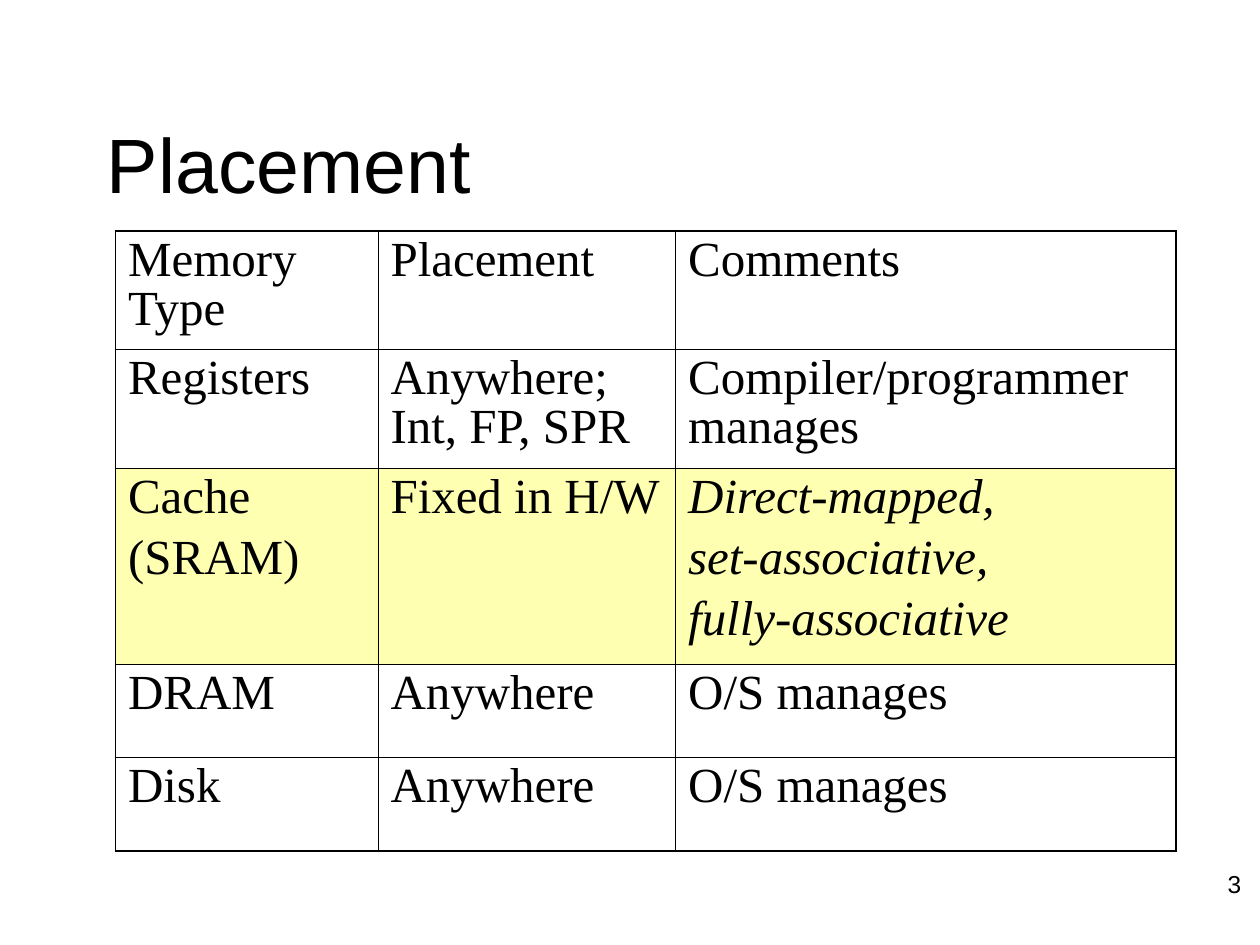
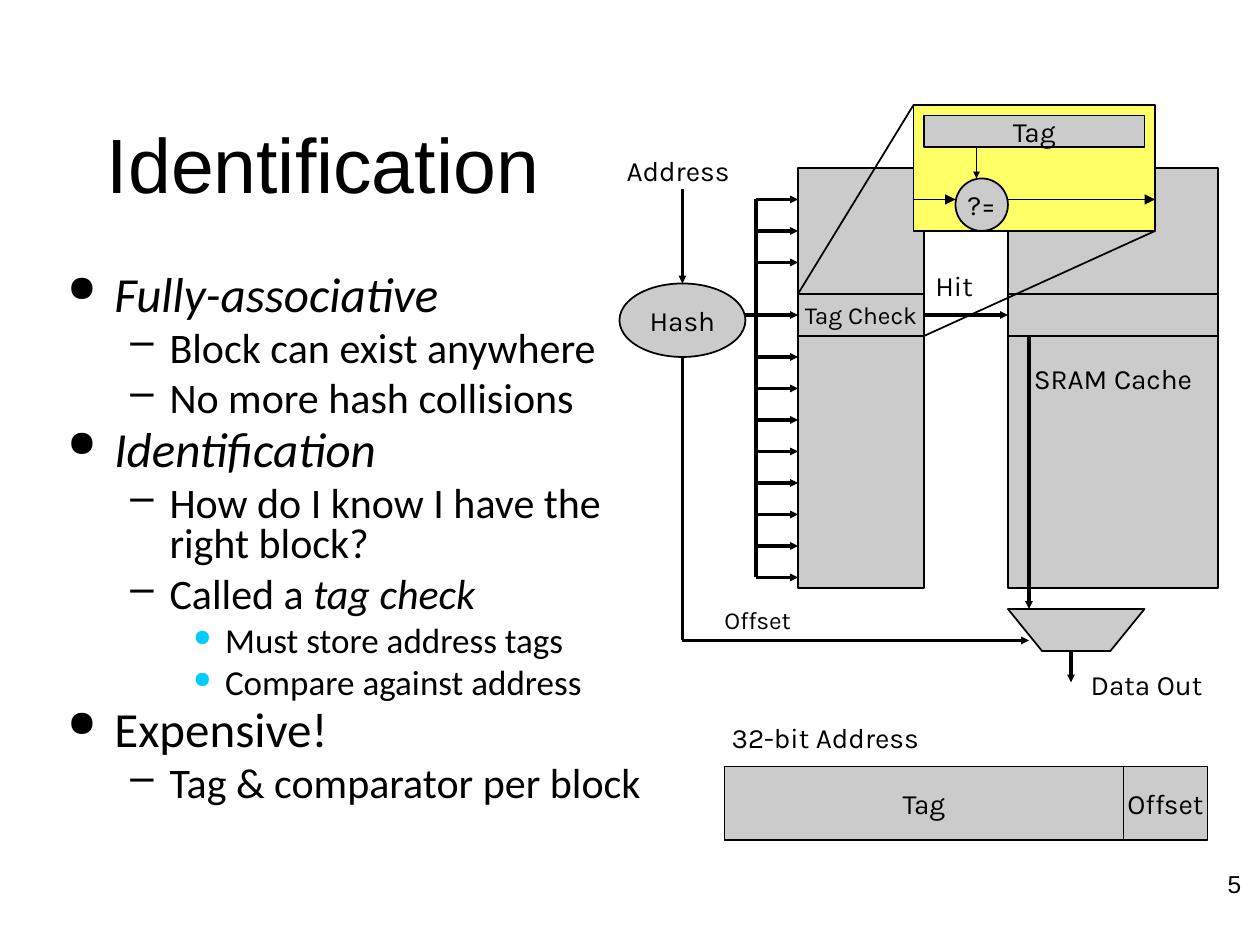
"""Build two lecture slides on cache placement and identification."""
from lxml import etree
from pptx import Presentation
from pptx import util as u
from pptx.dml.color import RGBColor
from pptx.enum import shapes, text
from pptx.oxml import ns

HUES = {"ink": "000000", "gray": "CBCBCB", "gold": "FFFF66", "sky": "00CCFF"}
BOX, OVAL = shapes.MSO_SHAPE.RECTANGLE, shapes.MSO_SHAPE.OVAL
LEFT, MID, RIGHT = text.PP_ALIGN.LEFT, text.PP_ALIGN.CENTER, text.PP_ALIGN.RIGHT
TOP, CORE, LOW = (text.MSO_ANCHOR.TOP, text.MSO_ANCHOR.MIDDLE,
                  text.MSO_ANCHOR.BOTTOM)

LEVELS = [
    dict(size=28, gap=7, ratio=0.7, edge=0.95, hang=0.95,
         mark="●", scale=75, hue="ink"),
    dict(size=24, gap=6, ratio=0.8, edge=2.06, hang=0.79,
         mark="–", scale=100, hue="ink"),
    dict(size=20, gap=5, ratio=0.8, edge=3.18, hang=0.64,
         mark="●", scale=65, hue="sky"),
]


def grid(*cells):
    """Turn twelfths of an inch into lengths."""
    return [u.Cm(n * 2.54 / 12) for n in cells]


def tint(name):
    """Return the named colour."""
    return RGBColor.from_string(HUES[name])


def sub(node, tag, **attrs):
    """Append a child element with attributes."""
    return etree.SubElement(node, ns.qn(tag),
                            {key: str(val) for key, val in attrs.items()})


class Deck:
    """Hold the style and the current slide."""

    def __init__(self):
        """Start an empty deck."""
        self.prs = Presentation()
        self.prs.slide_width, self.prs.slide_height = u.Cm(25.4), u.Cm(19.05)
        self.pool = None

    def page(self, title, number):
        """Add a slide with its title and number."""
        layout = self.prs.slide_layouts[6]
        self.pool = self.prs.slides.add_slide(layout).shapes
        self.label(title, 9, 8, 106, 15, size=44, face="Arial",
                   anchor=CORE, wrap=True)
        self.label(number, 94.4, 80.6, 25, 5, size=14, face="Arial",
                   align=RIGHT, anchor=LOW, wrap=True, pad=0)

    def font(self, para, size, face, slant=None):
        """Style a whole paragraph."""
        font = para.font
        font.size, font.name, font.italic = u.Pt(size), face, slant
        font.color.rgb = tint("ink")

    def words(self, frame, words, size, face, align, anchor, wrap, pad=0.13):
        """Put one styled paragraph in a frame."""
        frame.word_wrap, frame.vertical_anchor = wrap, anchor
        frame.margin_left = frame.margin_right = u.Cm(0.25)
        frame.margin_top = frame.margin_bottom = u.Cm(pad)
        para = frame.paragraphs[0]
        para.text, para.alignment = words, align
        self.font(para, size, face)

    def label(self, words, *place, size=16, face="Karla", align=LEFT,
              anchor=TOP, wrap=False, pad=0.13):
        """Add a text box."""
        frame = self.pool.add_textbox(*grid(*place)).text_frame
        self.words(frame, words, size, face, align, anchor, wrap, pad)

    def paint(self, shape, hue):
        """Give a shape its fill and outline."""
        shape.shadow.inherit = False
        shape.fill.solid()
        shape.fill.fore_color.rgb = tint(hue)
        shape.line.color.rgb = tint("ink")
        shape.line.width = u.Pt(1)

    def block(self, *place, words="", kind=BOX, hue="gray", size=16):
        """Add a preset shape with centred text."""
        shape = self.pool.add_shape(kind, *grid(*place))
        self.paint(shape, hue)
        if words:
            self.words(shape.text_frame, words, size, "Karla", MID, CORE, False)
        return shape

    def poly(self, points, hue="gray"):
        """Add a closed outline."""
        first, *rest = [grid(*point) for point in points]
        pen = self.pool.build_freeform(*first, scale=1.0)
        pen.add_line_segments(rest, close=True)
        self.paint(pen.convert_to_shape(), hue)

    def line(self, *ends, width=2.25, head="sm", start=None, stop=None):
        """Add a straight line, with an arrowhead if head is set."""
        link = self.pool.add_connector(shapes.MSO_CONNECTOR.STRAIGHT,
                                       *grid(*ends))
        if start:
            link.begin_connect(start, 3)
        if stop:
            link.end_connect(stop, 1)
        link.line.width = u.Pt(width)
        link.line.color.rgb = tint("ink")
        props = link.element.spPr
        if head:
            sub(props.find(ns.qn("a:ln")), "a:tailEnd",
                type="triangle", w=head, len=head)
        sub(props, "a:effectLst")

    def bullets(self, items, *place):
        """Add a bulleted list; starred words are italic."""
        frame = self.pool.add_textbox(*grid(*place)).text_frame
        frame.word_wrap = True
        frame.margin_left = frame.margin_right = u.Cm(0.51)
        for n, (depth, words) in enumerate(items):
            rank = LEVELS[depth]
            para = frame.add_paragraph() if n else frame.paragraphs[0]
            para.level, para.line_spacing = depth, rank["ratio"]
            para.space_before = u.Pt(rank["gap"] if n else 0)
            props = para._p.get_or_add_pPr()
            props.set("marL", str(u.Cm(rank["edge"])))
            props.set("indent", str(-u.Cm(rank["hang"])))
            sub(sub(props, "a:buClr"), "a:srgbClr", val=HUES[rank["hue"]])
            sub(props, "a:buSzPct", val=rank["scale"] * 1000)
            sub(props, "a:buChar", char=rank["mark"])
            parts = [(part, k % 2 == 1)
                     for k, part in enumerate(words.split("*")) if part]
            whole = all(slant for _, slant in parts)
            self.font(para, rank["size"], "Calibri", whole)
            for part, slant in parts:
                run = para.add_run()
                run.text = part
                if slant and not whole:
                    run.font.italic = True

    def frame(self, cell, edges):
        """Draw the four borders of a cell."""
        props = cell._tc.get_or_add_tcPr()
        for side, outer in zip("LRTB", edges):
            rule = sub(props, f"a:ln{side}", w=u.Pt(1.08 if outer else 0.45))
            sub(sub(rule, "a:solidFill"), "a:srgbClr", val=HUES["ink"])

    def table(self, rows, widths, heights, left, top, accent):
        """Add a ruled table with one tinted row."""
        place = grid(left, top, sum(widths), sum(heights))
        table = self.pool.add_table(len(rows), len(widths), *place).table
        table.first_row = table.horz_banding = False
        for col, width in zip(table.columns, grid(*widths)):
            col.width = width
        for row, height in zip(table.rows, grid(*heights)):
            row.height = height
        for r, row in enumerate(rows):
            for c, words in enumerate(row):
                cell = table.cell(r, c)
                self.frame(cell, (c == 0, c == len(widths) - 1,
                                  r == 0, r == len(rows) - 1))
                if r == accent:
                    cell.fill.solid()
                    cell.fill.fore_color.rgb = tint("gold")
                    shade = cell._tc.tcPr.find("./" + ns.qn("a:solidFill"))
                    sub(shade[0], "a:alpha", val=50000)
                else:
                    cell.fill.background()
                cell.text = words.strip("*")
                for n, para in enumerate(cell.text_frame.paragraphs):
                    para.line_spacing = 0.9
                    para.space_before = u.Pt(7 if n else 0)
                    self.font(para, 28, "Times New Roman",
                              words.startswith("*"))


def place(deck):
    """Build the placement slide."""
    deck.page("Placement", "3")
    rows = [
        ("Memory Type", "Placement", "Comments"),
        ("Registers", "Anywhere; Int, FP, SPR", "Compiler/programmer manages"),
        ("Cache\n(SRAM)", "Fixed in H/W",
         "*Direct-mapped,\nset-associative,\nfully-associative*"),
        ("DRAM", "Anywhere", "O/S manages"),
        ("Disk", "Anywhere", "O/S manages"),
    ]
    deck.table(rows, (25, 28.35, 47.65), (11.3, 11.3, 18.5, 8.9, 8.9),
               11, 22, accent=2)


def cache(deck):
    """Draw the hash, tag and data arrays."""
    deck.block(96, 16, 20, 40, words="SRAM Cache")
    entry = deck.block(96, 28, 20, 4)
    deck.block(59, 27, 12, 7, words="Hash", kind=OVAL)
    deck.block(76, 16, 12, 40)
    check = deck.block(76, 28, 12, 4, words="Tag Check", size=14)
    deck.poly([(96, 58), (99.25, 62), (105.75, 62), (109, 58)])
    deck.line(65, 18, 65, 27)
    deck.line(65, 34, 65, 61, head=None)
    deck.line(65, 61, 98, 61)
    deck.line(98, 32, 98, 58)
    deck.line(102, 62, 102, 65)
    deck.line(71, 30, 76, 30, stop=check)
    deck.line(88, 30, 96, 30, start=check, stop=entry)
    deck.line(72, 19, 72, 55, head=None)
    for y in (*range(19, 26, 3), *range(34, 56, 3)):
        deck.line(72, y, 76, y)
    deck.label("Address", 58.5, 14, 12.5, 4.4)
    deck.label("Hit", 87.9, 25, 6, 4.4)
    deck.label("Offset", 67.8, 57, 9.1, 4.1, size=14)
    deck.label("Data Out", 102.7, 63, 13.7, 4.4)


def zoom(deck):
    """Draw the enlarged tag comparison."""
    deck.block(87, 10, 23, 12, hue="gold")
    deck.block(91, 17, 5, 5, words="?=", kind=OVAL)
    deck.block(88, 11, 21, 3, words="Tag")
    for ends, head in [((87, 19, 91, 19), "med"), ((96, 19, 110, 19), "med"),
                       ((93, 14, 93, 17), "sm"), ((76, 28, 87, 10), None),
                       ((88, 32, 110, 22), None)]:
        deck.line(*ends, width=1, head=head)


def identify(deck):
    """Build the identification slide."""
    deck.page("Identification", "5")
    deck.bullets([
        (0, "*Fully-associative*"),
        (1, "Block can exist anywhere"),
        (1, "No more hash collisions"),
        (0, "*Identification*"),
        (1, "How do I know I have the right block?"),
        (1, "Called a *tag check*"),
        (2, "Must store address tags"),
        (2, "Compare against address"),
        (0, "Expensive!"),
        (1, "Tag & comparator per block"),
    ], 4, 26, 62, 56)
    cache(deck)
    zoom(deck)
    deck.label("32-bit Address", 68.5, 68, 20.4, 4.4)
    deck.block(69, 73, 38, 7, words="Tag")
    deck.block(107, 73, 8, 7, words="Offset")


def main():
    """Build and save the deck."""
    deck = Deck()
    place(deck)
    identify(deck)
    deck.prs.save("out.pptx")


if __name__ == "__main__":
    main()
